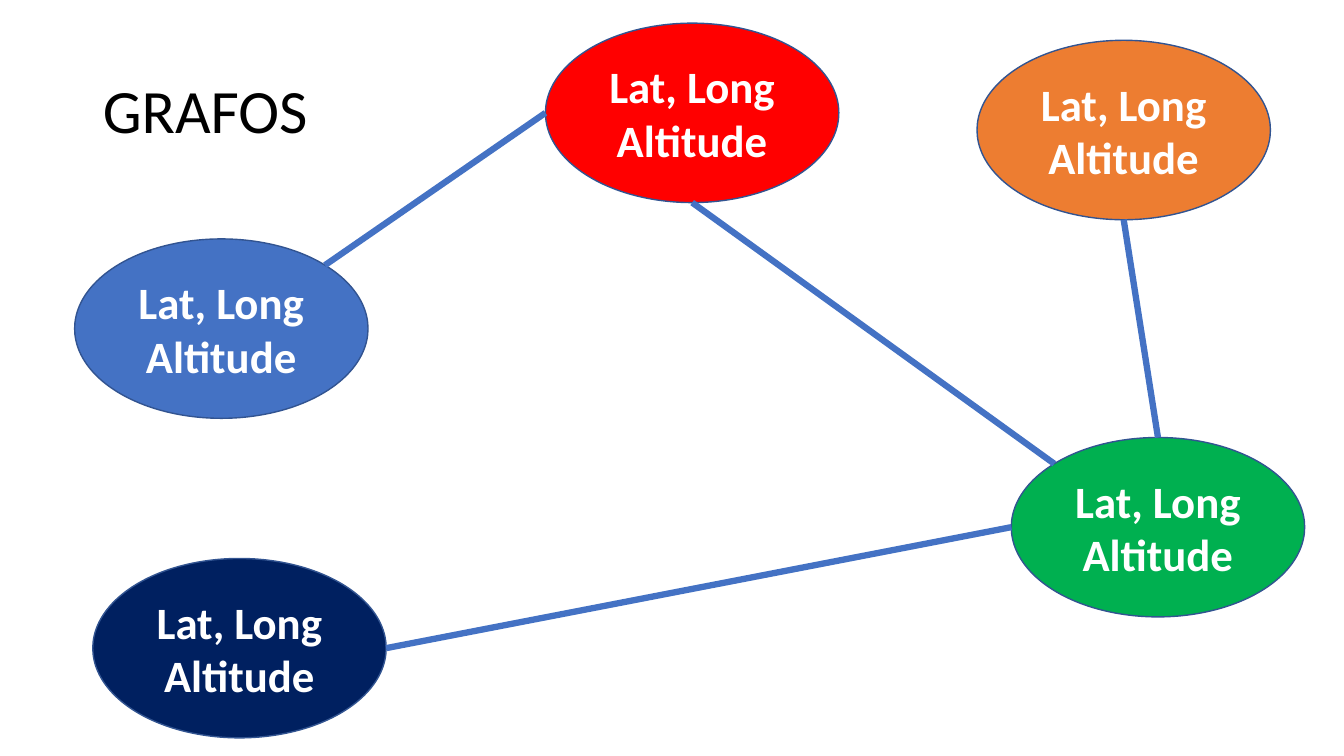
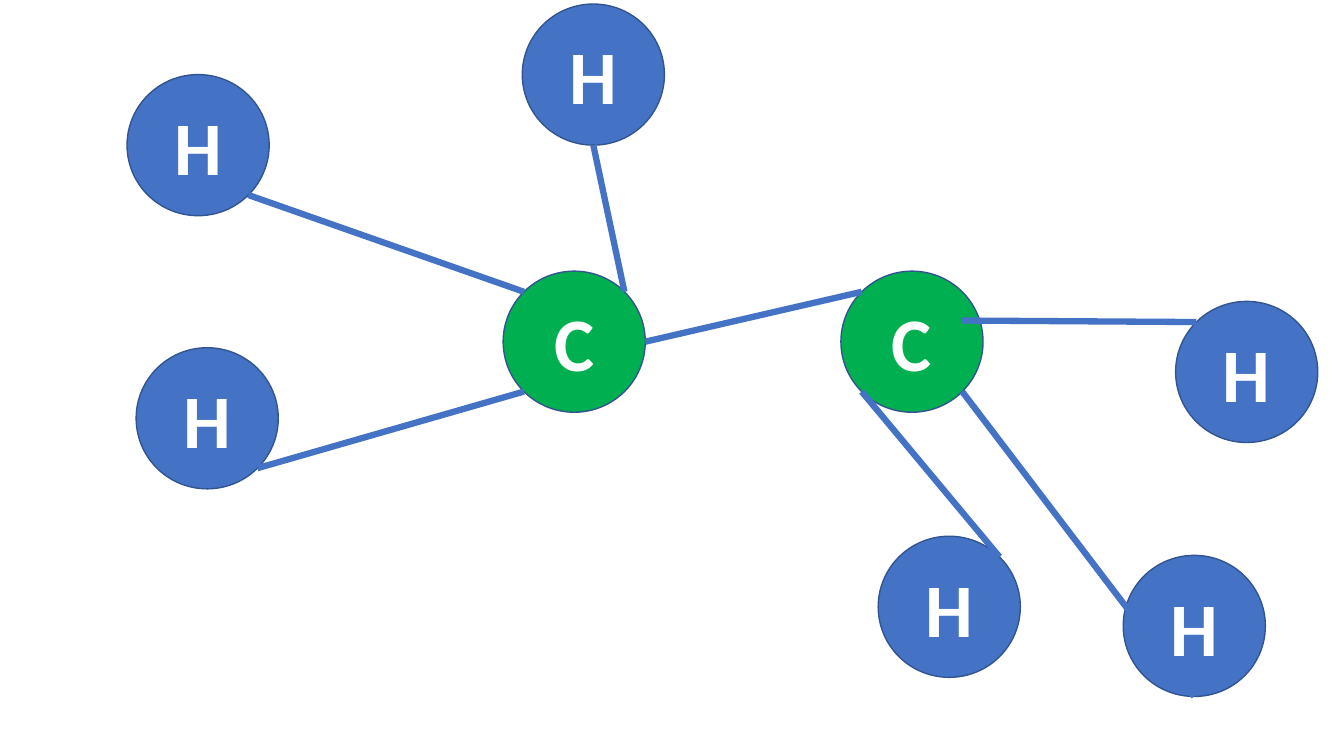
import math

from lxml import etree
from pptx import Presentation
from pptx.dml.color import RGBColor
from pptx.enum import shapes, text
from pptx.oxml.ns import qn
from pptx.util import Inches, Pt

# Shared style
COLORS = {
    "blue": "4472C4", "orange": "ED7D31", "green": "00B050", "navy": "002060",
    "red": "FF0000", "outline": "325491", "white": "FFFFFF", "black": "000000",
}
FONT = "Calibri"

# Connection sites of an ellipse, in the preset's own order
SITES = ["top", "top left", "left", "bottom left",
         "bottom", "bottom right", "right", "top right"]

# Content: nodes are name: (label, colour, left, top);
# edges are (node, site, node, site), a site being a name or a free point
PLACE = "Lat, Long\nAltitude"
GRAPHS = [
    {
        "title": "GRAFOS",
        "size": (2.91, 1.78),
        "font_size": 32,
        "nodes": {
            "blue": (PLACE, "blue", 0.74, 2.37),
            "orange": (PLACE, "orange", 9.69, 0.4),
            "green": (PLACE, "green", 10.03, 4.34),
            "navy": (PLACE, "navy", 0.92, 5.54),
            "red": (PLACE, "red", 5.41, 0.23),
        },
        "edges": [
            ("navy", "right", "green", "left"),
            ("orange", "bottom", "green", "top"),
            ("red", "bottom", "green", "top left"),
            ("blue", "top right", "red", "left"),
        ],
    },
    {
        "title": None,
        "size": (1.41, 1.4),
        "font_size": 54,
        "nodes": {
            "H1": ("H", "blue", 1.26, 0.74),
            "H2": ("H", "blue", 5.18, 0.04),
            "H3": ("H", "blue", 1.35, 3.45),
            "H4": ("H", "blue", 8.71, 5.32),
            "H5": ("H", "blue", 11.14, 5.51),
            "H6": ("H", "blue", 11.66, 2.99),
            "C1": ("C", "green", 4.99, 2.69),
            "C2": ("C", "green", 8.34, 2.69),
        },
        "edges": [
            ("H1", "bottom right", "C1", "top left"),
            ("H2", "bottom", "C1", "top right"),
            ("H3", "bottom right", "C1", "bottom left"),
            ("C2", "top left", "C1", "right"),
            ("H4", "top right", "C2", "bottom left"),
            ("H5", "bottom", "C2", "bottom right"),
            ("H6", "top left", "C2", (9.54, 3.18)),
        ],
    },
]


def color(name):
    return RGBColor.from_string(COLORS[name])


def style_text(paragraph, size, color_name, bold):
    for run in paragraph.runs:
        run.font.name = FONT
        run.font.size = Pt(size)
        run.font.bold = bold
        run.font.color.rgb = color(color_name)


def add_title(slide, wording):
    title = slide.shapes.title
    title.left, title.top = Inches(0.92), Inches(0.4)
    title.width, title.height = Inches(11.5), Inches(1.45)
    title.text_frame.text = wording
    title.text_frame.vertical_anchor = text.MSO_ANCHOR.MIDDLE
    paragraph = title.text_frame.paragraphs[0]
    paragraph.alignment = text.PP_ALIGN.LEFT
    paragraph.line_spacing = 0.9
    style_text(paragraph, 44, "black", False)


def add_node(slide, node, size, font_size):
    label, fill, left, top = node
    shape = slide.shapes.add_shape(
        shapes.MSO_SHAPE.OVAL, *(Inches(n) for n in (left, top, *size)))
    shape.shadow.inherit = False
    shape.fill.solid()
    shape.fill.fore_color.rgb = color(fill)
    shape.line.color.rgb = color("outline")
    shape.line.width = Pt(1)
    shape.text_frame.text = label
    shape.text_frame.vertical_anchor = text.MSO_ANCHOR.MIDDLE
    for paragraph in shape.text_frame.paragraphs:
        paragraph.alignment = text.PP_ALIGN.CENTER
        style_text(paragraph, font_size, "white", True)
    return shape


def site_point(shape, site):
    if site not in SITES:
        return [Inches(n) for n in site]
    angle = math.radians(90 + 45 * SITES.index(site))
    return (round(shape.left + shape.width / 2 * (1 + math.cos(angle))),
            round(shape.top + shape.height / 2 * (1 - math.sin(angle))))


def add_edge(slide, nodes, edge):
    ends = [(nodes[edge[0]], edge[1]), (nodes[edge[2]], edge[3])]
    start, finish = (site_point(*end) for end in ends)
    connector = slide.shapes.add_connector(
        shapes.MSO_CONNECTOR.STRAIGHT, *start, *finish)
    connector.line.color.rgb = color("blue")
    connector.line.width = Pt(4.5)
    element = connector.element
    etree.SubElement(element.spPr, qn("a:effectLst"))
    # Glue the ends to the ellipses, which have eight sites each
    properties = element.find(".//" + qn("p:cNvCxnSpPr"))
    for tag, (shape, site) in zip(("a:stCxn", "a:endCxn"), ends):
        if site in SITES:
            etree.SubElement(properties, qn(tag), id=str(shape.shape_id),
                             idx=str(SITES.index(site)))


def add_graph(presentation, graph):
    layout = presentation.slide_layouts[5 if graph["title"] else 6]
    slide = presentation.slides.add_slide(layout)
    if graph["title"]:
        add_title(slide, graph["title"])
    nodes = {name: add_node(slide, node, graph["size"], graph["font_size"])
             for name, node in graph["nodes"].items()}
    for edge in graph["edges"]:
        add_edge(slide, nodes, edge)


def main():
    presentation = Presentation()
    presentation.slide_width = Inches(13.33)
    presentation.slide_height = Inches(7.5)
    for graph in GRAPHS:
        add_graph(presentation, graph)
    presentation.save("out.pptx")


if __name__ == "__main__":
    main()
